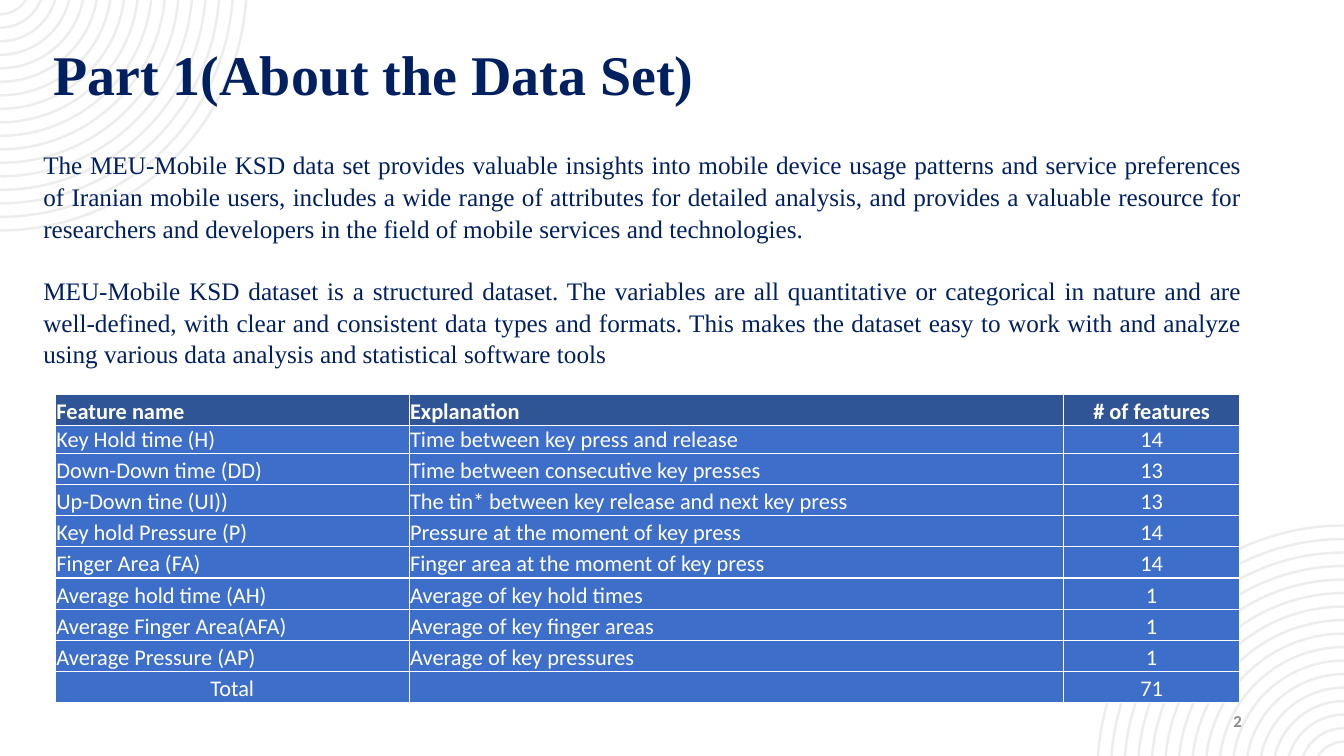
import math
from lxml import etree
from pptx import Presentation
from pptx.dml.color import RGBColor
from pptx.enum.text import MSO_ANCHOR, MSO_AUTO_SIZE, PP_ALIGN
from pptx.oxml.ns import qn
from pptx.util import Pt

LEFT, CENTER, RIGHT, JUSTIFY = PP_ALIGN.LEFT, PP_ALIGN.CENTER, PP_ALIGN.RIGHT, PP_ALIGN.JUSTIFY
TOP, MIDDLE, BOTTOM = MSO_ANCHOR.TOP, MSO_ANCHOR.MIDDLE, MSO_ANCHOR.BOTTOM

# Content
TITLE = "Part 1(About the Data Set)"
PAGE_NUMBER = "2"
ABOUT = [
    "The MEU-Mobile KSD data set provides valuable insights into mobile device usage patterns "
    "and service preferences of Iranian mobile users, includes a wide range of attributes for "
    "detailed analysis, and provides a valuable resource for researchers and developers in the "
    "field of mobile services and technologies.",
    "MEU-Mobile KSD dataset is a structured dataset. The variables are all quantitative or "
    "categorical in nature and are well-defined, with clear and consistent data types and "
    "formats. This makes the dataset easy to work with and analyze using various data analysis "
    "and statistical software tools",
]
FEATURES = [
    ("Feature name", "Explanation", "# of features"),
    ("Key Hold time (H)", "Time between key press and release", "14"),
    ("Down-Down time (DD)", "Time between consecutive key presses", "13"),
    ("Up-Down tine (UI))", "The tin* between key release and next key press", "13"),
    ("Key hold Pressure (P)", "Pressure at the moment of key press", "14"),
    ("Finger Area (FA)", "Finger area at the moment of key press", "14"),
    ("Average hold time (AH)", "Average of key hold times", "1"),
    ("Average Finger Area(AFA)", "Average of key finger areas", "1"),
    ("Average Pressure (AP)", "Average of key pressures", "1"),
    ("Total", "", "71"),
]

# Look and measures, in points
SERIF, SANS = "Times New Roman", "Calibri"
NAVY, HEADER_BLUE, ROW_BLUE = "002060", "2F5597", "3D6EC9"
WHITE, GREY, RING_GREY = "FFFFFF", "8C8C8C", "EDEDED"
SLIDE_W, SLIDE_H = 960, 540
COLUMN_WIDTHS = (252.7, 467.3, 126)
ROW_H, FIRST_ROW_H = 22.3, 19.5
RING_COUNT, RING_RADIUS, RING_STEP, RING_WIDTH = 17, 177, 9.65, 1.75
RING_OFFSET = 11.5  # the centre lies this far beyond the slide edge
UNITS = 100  # freeform units per point


def color(hex_value):
    return RGBColor.from_string(hex_value)


def write(frame, text, font=SERIF, size=18, hue=NAVY, bold=False, align=LEFT,
          anchor=TOP, line_spacing=None, gap=0):
    """Fill a text frame, one paragraph for each line of text."""
    frame.word_wrap = True
    frame.vertical_anchor = anchor
    for index, line in enumerate(text.split("\n")):
        paragraph = frame.add_paragraph() if index else frame.paragraphs[0]
        paragraph.alignment = align
        paragraph.line_spacing = line_spacing
        paragraph.space_before = Pt(gap if index else 0)
        run = paragraph.add_run()
        run.text = line
        run.font.name, run.font.size, run.font.bold = font, Pt(size), bold
        run.font.color.rgb = color(hue)


def bend(segment, radius, start, sweep):
    """Turn a straight freeform segment into an arc; angles in degrees."""
    size = str(round(radius * UNITS))
    curve = etree.Element(qn("a:arcTo"), wR=size, hR=size,
                          stAng=str(round(start * 60000)), swAng=str(round(sweep * 60000)))
    segment.getparent().replace(segment, curve)


def add_rings(slide, opposite):
    """Draw the ring pattern top left, or turned round at bottom right."""
    builder = None
    turn = 180 if opposite else 0
    curves = []
    for ring in range(RING_COUNT):
        outer = RING_RADIUS - ring * RING_STEP
        inner = outer - RING_WIDTH
        outer_x, inner_x = (math.sqrt(r ** 2 - RING_OFFSET ** 2) for r in (outer, inner))
        corners = [(outer_x, 0), (0, outer - RING_OFFSET), (0, inner - RING_OFFSET), (inner_x, 0)]
        if opposite:
            corners = [(SLIDE_W - x, SLIDE_H - y) for x, y in corners]
        corners = [(round(x * UNITS), round(y * UNITS)) for x, y in corners]
        if builder is None:
            builder = slide.shapes.build_freeform(*corners[0], scale=Pt(1) / UNITS)
        else:
            builder.move_to(*corners[0])
        builder.add_line_segments(corners[1:], close=True)
        outer_start, inner_start = (math.degrees(math.asin(RING_OFFSET / r))
                                    for r in (outer, inner))
        curves += [(outer, outer_start + turn, 90 - outer_start), None,
                   (inner, 90 + turn, inner_start - 90)]
    rings = builder.convert_to_shape()
    segments = list(rings._element.iter(qn("a:lnTo")))
    for segment, curve in zip(segments, curves):
        if curve:
            bend(segment, *curve)
    rings.shadow.inherit = False
    rings.fill.solid()
    rings.fill.fore_color.rgb = color(RING_GREY)
    rings.line.fill.background()


def add_borders(cell):
    properties = cell._tc.get_or_add_tcPr()
    for position, side in enumerate(("a:lnL", "a:lnR", "a:lnT", "a:lnB")):
        line = etree.Element(qn(side), w=str(Pt(1)))
        fill = etree.SubElement(line, qn("a:solidFill"))
        etree.SubElement(fill, qn("a:srgbClr"), val=WHITE)
        properties.insert(position, line)


def add_features(slide):
    table = slide.shapes.add_table(
        len(FEATURES), len(COLUMN_WIDTHS), Pt(39.6), Pt(281.5),
        Pt(sum(COLUMN_WIDTHS)), Pt(ROW_H * len(FEATURES))).table
    table.horz_banding = False
    for column, width in zip(table.columns, COLUMN_WIDTHS):
        column.width = Pt(width)
    for r, values in enumerate(FEATURES):
        table.rows[r].height = Pt(FIRST_ROW_H if r == 1 else ROW_H)
        for c, value in enumerate(values):
            cell = table.cell(r, c)
            cell.margin_left = cell.margin_right = cell.margin_top = Pt(0.7)
            cell.margin_bottom = 0
            cell.fill.solid()
            cell.fill.fore_color.rgb = color(ROW_BLUE if r else HEADER_BLUE)
            add_borders(cell)
            centred = c == 2 or value == "Total"
            write(cell.text_frame, value, font=SANS, size=16, hue=WHITE, bold=r == 0,
                  align=CENTER if centred else LEFT)
            cell.vertical_anchor = BOTTOM


def main():
    deck = Presentation()
    deck.slide_width, deck.slide_height = Pt(SLIDE_W), Pt(SLIDE_H)
    slide = deck.slides.add_slide(deck.slide_layouts[5])

    # Background rings
    add_rings(slide, opposite=False)
    add_rings(slide, opposite=True)

    # Page number
    page = slide.shapes.add_textbox(Pt(678.2), Pt(500.4), Pt(216), Pt(28.8))
    write(page.text_frame, PAGE_NUMBER, font=SANS, size=12, hue=GREY, bold=True,
          align=RIGHT, anchor=MIDDLE)

    # Title, brought in front of the rings
    title = slide.shapes.title
    slide.shapes._spTree.append(title._element)
    title.left, title.top, title.width, title.height = Pt(31), Pt(22.3), Pt(634.3), Pt(55.4)
    title.text_frame.auto_size = MSO_AUTO_SIZE.NONE
    write(title.text_frame, TITLE, size=40, bold=True, line_spacing=1.05)

    # Description
    about = slide.shapes.add_textbox(Pt(23.8), Pt(102.2), Pt(870.5), Pt(159.8))
    write(about.text_frame, "\n".join(ABOUT), align=JUSTIFY, line_spacing=1.05, gap=21.7)

    # Feature table
    add_features(slide)
    deck.save("out.pptx")


if __name__ == "__main__":
    main()
